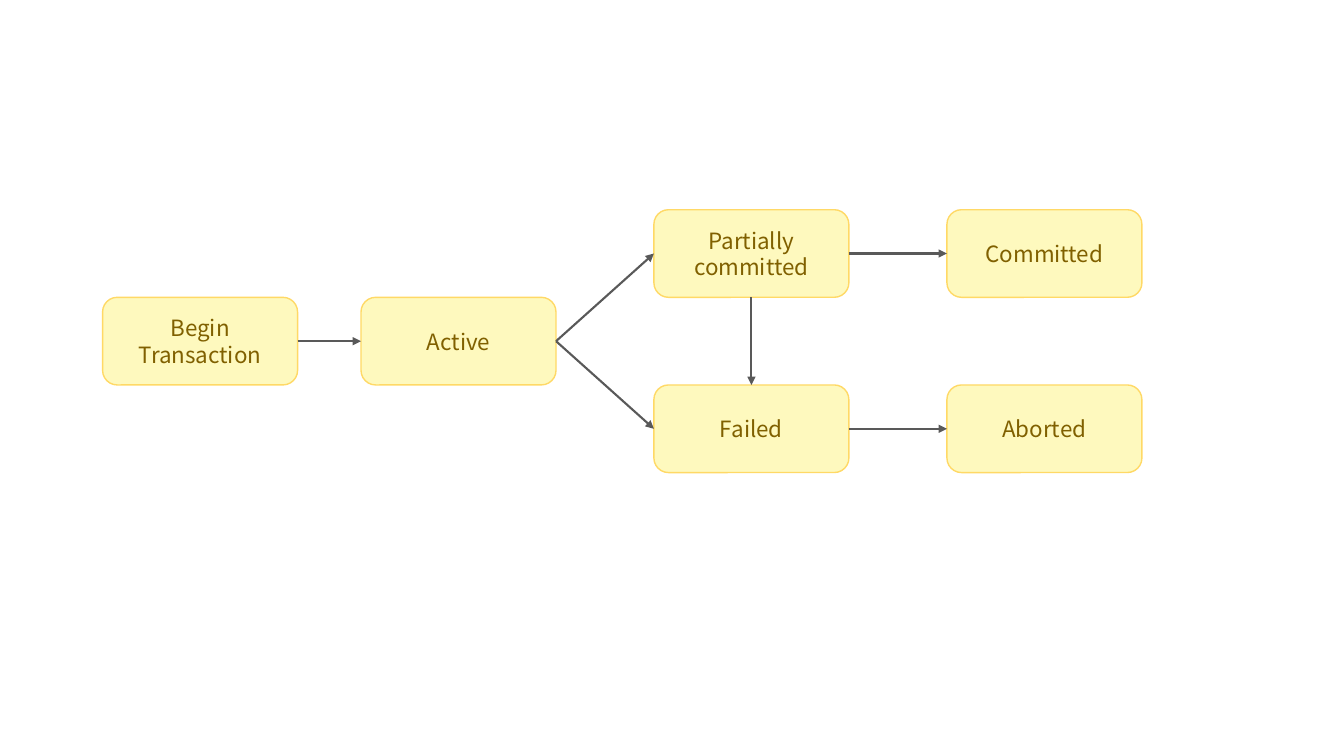
from dataclasses import dataclass

from pptx import Presentation
from pptx.dml.color import RGBColor
from pptx.enum.shapes import MSO_CONNECTOR, MSO_SHAPE
from pptx.enum.text import MSO_ANCHOR, PP_ALIGN
from pptx.oxml.ns import qn
from pptx.shapes.autoshape import Shape
from pptx.slide import Slide
from pptx.util import Pt
from lxml import etree

ROUNDED = MSO_SHAPE.ROUNDED_RECTANGLE
STRAIGHT = MSO_CONNECTOR.STRAIGHT
MIDDLE = MSO_ANCHOR.MIDDLE
CENTER = PP_ALIGN.CENTER
TOP, LEFT, BOTTOM, RIGHT = range(4)


@dataclass(frozen=True)
class Theme:
    font: str = "Noto Sans CJK KR"
    text_size: float = 16
    text: RGBColor = RGBColor(0x80, 0x60, 0x00)
    fill: RGBColor = RGBColor(0xFE, 0xF9, 0xBE)
    border: RGBColor = RGBColor(0xFF, 0xD9, 0x66)
    arrow: RGBColor = RGBColor(0x59, 0x59, 0x59)
    border_width: float = 1
    arrow_width: float = 1.5


@dataclass(frozen=True)
class State:
    label: str
    column: int
    row: int


@dataclass(frozen=True)
class Transition:
    source: str
    target: str
    source_side: int = RIGHT
    target_side: int = LEFT


THEME = Theme()
BOX_WIDTH, BOX_HEIGHT = 139.3, 62.6
COLUMN_LEFTS = (73.3, 257.9, 467.1, 676.4)
FIRST_ROW_TOP = 149.8

STATES = (
    State("Begin Transaction", 0, 1),
    State("Active", 1, 1),
    State("Partially committed", 2, 0),
    State("Committed", 3, 0),
    State("Failed", 2, 2),
    State("Aborted", 3, 2),
)
TRANSITIONS = (
    Transition("Begin Transaction", "Active"),
    Transition("Active", "Partially committed"),
    Transition("Partially committed", "Committed"),
    Transition("Active", "Failed"),
    Transition("Failed", "Aborted"),
    Transition("Partially committed", "Failed", BOTTOM, TOP),
)


def draw_state(page: Slide, state: State) -> Shape:
    box = page.shapes.add_shape(
        ROUNDED,
        Pt(COLUMN_LEFTS[state.column]),
        Pt(FIRST_ROW_TOP + state.row * BOX_HEIGHT),
        Pt(BOX_WIDTH),
        Pt(BOX_HEIGHT),
    )
    box.shadow.inherit = False
    box.fill.solid()
    box.fill.fore_color.rgb = THEME.fill
    box.line.color.rgb = THEME.border
    box.line.width = Pt(THEME.border_width)
    frame = box.text_frame
    frame.word_wrap = True
    frame.vertical_anchor = MIDDLE
    para = frame.paragraphs[0]
    para.text = state.label
    para.alignment = CENTER
    para.font.name = THEME.font
    para.font.size = Pt(THEME.text_size)
    para.font.color.rgb = THEME.text
    return box


def draw_transition(page: Slide, transition: Transition, boxes: dict[str, Shape]) -> None:
    arrow = page.shapes.add_connector(STRAIGHT, Pt(0), Pt(0), Pt(0), Pt(0))
    arrow.begin_connect(boxes[transition.source], transition.source_side)
    arrow.end_connect(boxes[transition.target], transition.target_side)
    arrow.line.color.rgb = THEME.arrow
    arrow.line.width = Pt(THEME.arrow_width)
    properties = arrow.element.spPr
    etree.SubElement(properties.find(qn("a:ln")), qn("a:tailEnd"), type="triangle")
    etree.SubElement(properties, qn("a:effectLst"))


def main() -> None:
    deck = Presentation()
    deck.slide_width, deck.slide_height = Pt(960), Pt(540)
    page = deck.slides.add_slide(deck.slide_layouts[6])
    boxes = {state.label: draw_state(page, state) for state in STATES}
    for transition in TRANSITIONS:
        draw_transition(page, transition, boxes)
    deck.save("out.pptx")


main()
